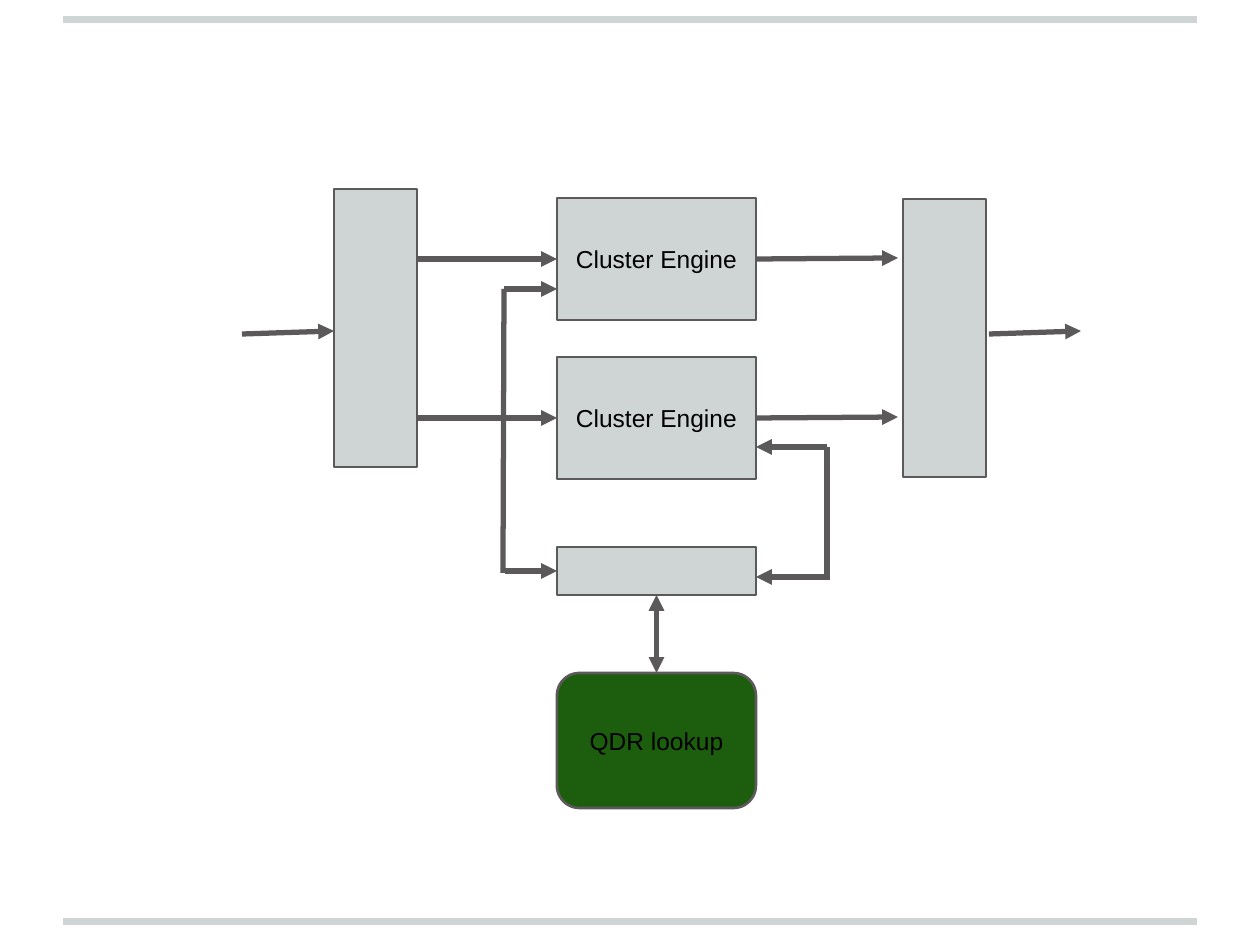
import pptx
import pptx.util
import pptx.dml.color
import pptx.enum.shapes
import pptx.enum.text
import pptx.oxml
import pptx.oxml.ns

COLORS = {"white": "FFFFFF", "gray": "CFD4D4", "dark": "5B595A",
          "green": "1C5E0D", "black": "000000"}
EMU_PER_PX = 914400 / 126
TOP, LEFT, BOTTOM, RIGHT = range(4)
KINDS = pptx.enum.shapes.MSO_SHAPE


def emu(px):
    return pptx.util.Emu(round(px * EMU_PER_PX))


def color(name):
    return pptx.dml.color.RGBColor.from_string(COLORS[name])


def write_text(box, text, size=14, font="Arial", ink="black"):
    frame = box.text_frame
    frame.word_wrap = True
    frame.vertical_anchor = pptx.enum.text.MSO_ANCHOR.MIDDLE
    frame.margin_left = frame.margin_right = pptx.util.Inches(0.1)
    frame.margin_top = frame.margin_bottom = pptx.util.Inches(0.1)
    para = frame.paragraphs[0]
    para.alignment = pptx.enum.text.PP_ALIGN.CENTER
    span = para.add_run()
    span.text = text
    span.font.size = pptx.util.Pt(size)
    span.font.name = font
    span.font.color.rgb = color(ink)


class Diagram:
    """Holds the slide and the common look of its elements."""

    def __init__(self, page):
        self.page = page
        self.outline = pptx.util.Pt(1.5)
        page.background.fill.solid()
        page.background.fill.fore_color.rgb = color("white")

    def block(self, left, top, width, height, text=None, fill="gray",
              kind=KINDS.RECTANGLE):
        box = self.page.shapes.add_shape(
            kind, emu(left), emu(top), emu(width), emu(height))
        box.shadow.inherit = False
        box.fill.solid()
        box.fill.fore_color.rgb = color(fill)
        box.line.color.rgb = color("dark")
        box.line.width = self.outline
        if text:
            write_text(box, text)
        return box

    def line(self, start, end, head=False, tail=False, ink="dark", width=3):
        """Each end is an (x, y) point or a (block, side) pair."""
        joined = [not isinstance(stop[0], int) for stop in (start, end)]
        points = [(0, 0) if join else stop
                  for join, stop in zip(joined, (start, end))]
        link = self.page.shapes.add_connector(
            pptx.enum.shapes.MSO_CONNECTOR.STRAIGHT,
            *[emu(value) for point in points for value in point])
        if joined[0]:
            link.begin_connect(*start)
        if joined[1]:
            link.end_connect(*end)
        link.line.color.rgb = color(ink)
        link.line.width = pptx.util.Pt(width)
        stroke = link.line._get_or_add_ln()
        for tag, wanted in (("a:headEnd", head), ("a:tailEnd", tail)):
            if wanted:
                tip = pptx.oxml.parse_xml(
                    f"<{tag} {pptx.oxml.ns.nsdecls('a')} type='triangle'/>")
                stroke.append(tip)
        link._element.spPr.append(pptx.oxml.parse_xml(
            f"<a:effectLst {pptx.oxml.ns.nsdecls('a')}/>"))
        return link


def main():
    deck = pptx.Presentation()
    deck.slide_width = pptx.util.Inches(10)
    deck.slide_height = pptx.util.Inches(7.5)
    diagram = Diagram(deck.slides.add_slide(deck.slide_layouts[6]))

    # Rules at the top and bottom of the page
    for y in (922, 20):
        diagram.line((63, y), (1197, y), ink="gray", width=4)

    # Blocks
    column, width = 557, 199
    lookup = diagram.block(column, 673, width, 135, "QDR lookup",
                           fill="green", kind=KINDS.ROUNDED_RECTANGLE)
    engines = [diagram.block(column, top, width, 122, "Cluster Engine")
               for top in (198, 357)]
    arbiter = diagram.block(column, 547, width, 48)
    diagram.block(334, 189, 83, 278)
    diagram.block(903, 199, 83, 278)

    # Data flow from left to right
    diagram.line((242, 334), (334, 331), tail=True)
    for engine, y in zip(engines, (259, 418)):
        diagram.line((417, y), (engine, LEFT), tail=True)
        diagram.line((engine, RIGHT), (898, y - 1), tail=True)
    diagram.line((989, 334), (1081, 331), tail=True)

    # Loop between the first engine and the arbiter
    diagram.line((column, 289), (504, 289), head=True)
    diagram.line((504, 289), (503, 573))
    diagram.line((arbiter, LEFT), (505, 571), head=True)

    # Loop between the second engine and the arbiter
    for y in (447, 577):
        diagram.line((827, y), (column + width, y), tail=True)
    diagram.line((827, 447), (827, 580))

    # Lookup access
    diagram.line((arbiter, BOTTOM), (lookup, TOP), head=True, tail=True)

    deck.save("out.pptx")


if __name__ == "__main__":
    main()
